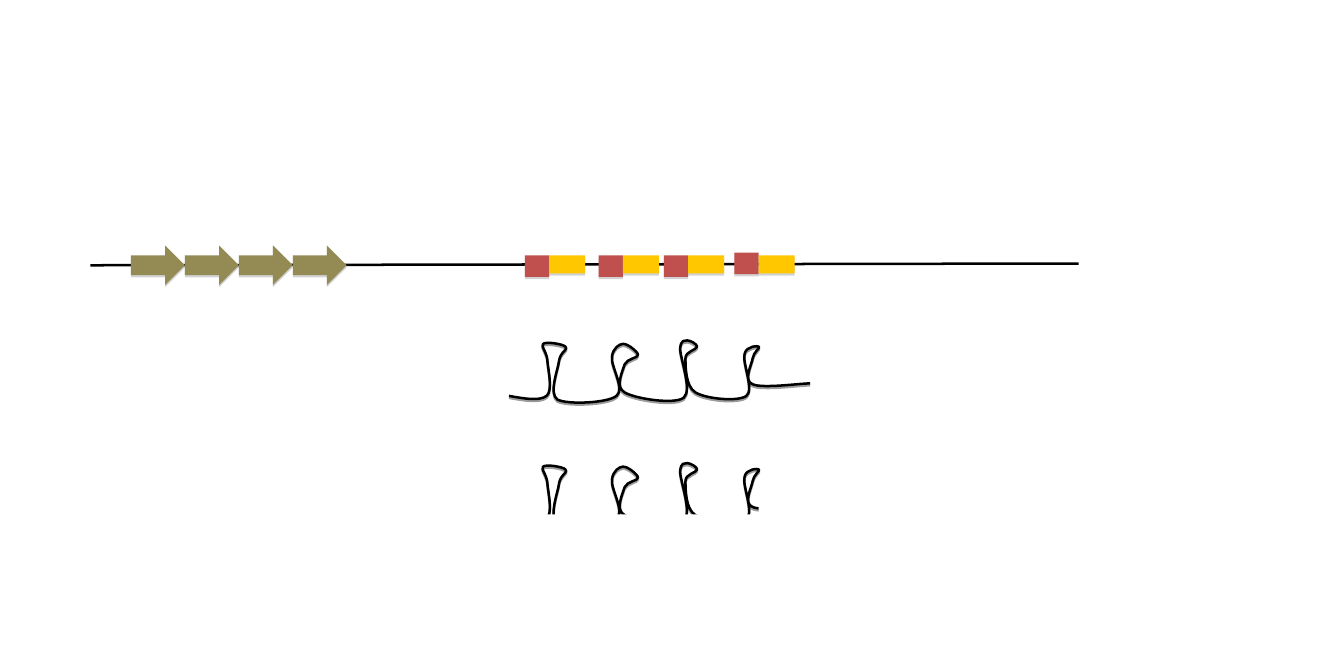
import pptx
import pptx.dml.color
import pptx.enum.shapes
import pptx.oxml
import pptx.oxml.ns
import pptx.util
import lxml.etree

Cm = pptx.util.Cm
Pt = pptx.util.Pt
qn = pptx.oxml.ns.qn
SHAPE = pptx.enum.shapes.MSO_SHAPE


def color(value):
    return pptx.dml.color.RGBColor.from_string(value)


def set_shadow(shape, value=None, opacity=0, distance=0):
    """Give a shape a downward shadow, or none when no colour is given."""
    shadow = ""
    if value:
        shadow = (
            f'<a:outerShdw blurRad="0" dist="{Pt(distance)}" dir="5400000" rotWithShape="0">'
            f'<a:srgbClr val="{value}"><a:alpha val="{opacity * 1000}"/></a:srgbClr>'
            "</a:outerShdw>"
        )
    shape._element.spPr.append(pptx.oxml.parse_xml(
        f'<a:effectLst {pptx.oxml.ns.nsdecls("a")}>{shadow}</a:effectLst>'))


presentation = pptx.Presentation()
presentation.slide_width = Cm(38.1)
presentation.slide_height = Cm(19.05)
slide = presentation.slides.add_slide(presentation.slide_layouts[6])
shapes = slide.shapes

# Sequence line
line = shapes.add_connector(
    pptx.enum.shapes.MSO_CONNECTOR.STRAIGHT, Cm(2.56), Cm(7.52), Cm(30.58), Cm(7.47))
line.line.color.rgb = color("000000")
line.line.width = Pt(2)
set_shadow(line)

# Four adjoining arrows, then four red and yellow pairs
blocks = [(SHAPE.RIGHT_ARROW, 3.71 + 1.53 * i, 6.96, 1.53, 1.12, "948A54") for i in range(4)]
for left, red_top in [(14.88, 7.24), (16.97, 7.24), (18.82, 7.24), (20.82, 7.16)]:
    blocks.append((SHAPE.RECTANGLE, left, red_top, 0.69, 0.61, "C0504D"))
    blocks.append((SHAPE.RECTANGLE, left + 0.69, 7.24, 1.02, 0.51, "FFC700"))
for kind, left, top, width, height, fill in blocks:
    block = shapes.add_shape(kind, Cm(left), Cm(top), Cm(width), Cm(height))
    block.fill.solid()
    block.fill.fore_color.rgb = color(fill)
    block.line.fill.background()
    set_shadow(block, "808080", 35, 1.8)

# Hairpin strand: cubic curves in hundredths of an inch (two controls and an end)
strand_curves = [
    (17, 65, 34, 68, 42, 62), (49, 56, 44, 34, 43, 24),
    (43, 14, 35, 6, 38, 4), (41, 1, 60, 4, 63, 7),
    (67, 10, 58, 12, 56, 22), (55, 32, 44, 59, 54, 66),
    (65, 72, 110, 70, 120, 62), (130, 54, 113, 28, 115, 18),
    (116, 9, 123, 4, 127, 4), (132, 3, 144, 13, 144, 16),
    (144, 20, 132, 20, 129, 27), (127, 34, 118, 52, 129, 58),
    (140, 65, 185, 72, 195, 64), (205, 56, 191, 20, 191, 9),
    (192, -1, 196, 0, 199, 0), (202, 0, 210, 4, 210, 7),
    (209, 11, 197, 12, 197, 20), (197, 29, 197, 51, 208, 58),
    (219, 65, 255, 69, 265, 62), (274, 55, 260, 24, 263, 15),
    (265, 6, 278, 6, 279, 7), (281, 8, 273, 13, 272, 20),
    (271, 27, 261, 45, 272, 49), (283, 54, 325, 48, 336, 48),
]
strand_height = 70
unit = Cm(2.54) / 100

# Two strands, one above the other
for top in (9.65, 13.13):
    builder = shapes.build_freeform(0, 62, scale=unit)
    builder.add_line_segments([curve[4:] for curve in strand_curves], close=False)
    strand = builder.convert_to_shape(Cm(14.43), Cm(top))
    strand.height = round(strand_height * unit)

    # Turn each straight segment into its curve
    outline = next(strand._element.iter(qn("a:path")))
    outline.set("h", str(strand_height))
    for segment, curve in zip(outline.findall(qn("a:lnTo")), strand_curves):
        bezier = lxml.etree.Element(qn("a:cubicBezTo"))
        for x, y in zip(curve[::2], curve[1::2]):
            lxml.etree.SubElement(bezier, qn("a:pt"), x=str(x), y=str(y))
        outline.replace(segment, bezier)

    strand.fill.background()
    strand.line.color.rgb = color("000000")
    strand.line.width = Pt(2)
    set_shadow(strand, "000000", 38, 1.6)

# White covers that leave only the loops of the lower strand
for left, top, width, height in [(13.31, 14.58, 10.59, 0.69), (21.51, 14.12, 2.39, 1.17)]:
    cover = shapes.add_shape(SHAPE.RECTANGLE, Cm(left), Cm(top), Cm(width), Cm(height))
    cover.fill.solid()
    cover.fill.fore_color.rgb = color("FFFFFF")
    cover.line.fill.background()
    set_shadow(cover)

presentation.save("out.pptx")
